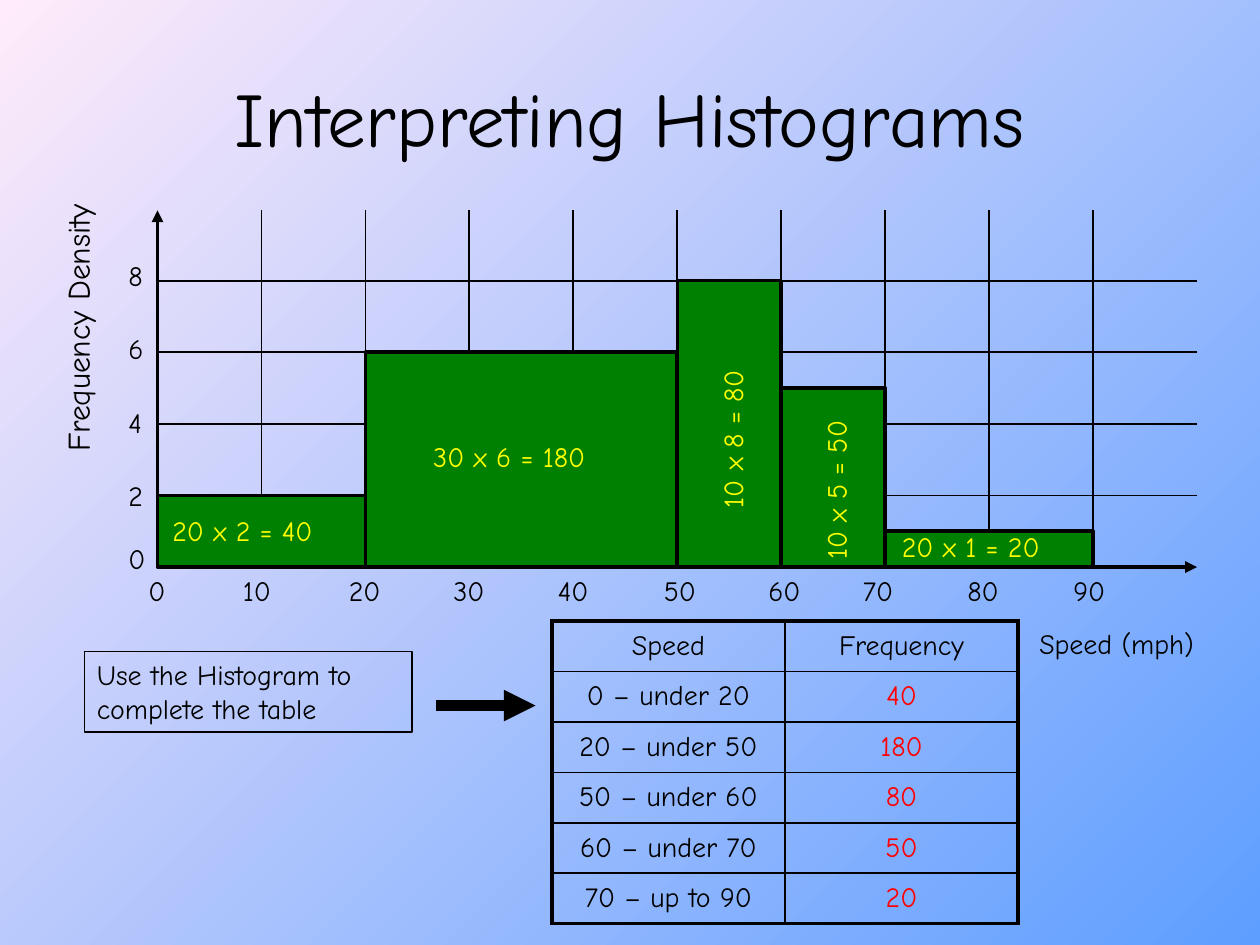
"""Build the slide on reading frequencies from a histogram."""
from dataclasses import dataclass

from lxml import etree
from pptx import Presentation
from pptx import util as u
from pptx.dml.color import RGBColor
from pptx.enum import shapes, text
from pptx.oxml import ns

FONT = "Comic Neue"
HUES = {"ink": "000000", "bar": "008000", "sum": "FFFF00", "answer": "FF0000",
        "pink": "FFEBFA", "blue": "5E9EFF"}
LEFT, BASE, TOP, RIGHT = 1.25, 4.5, 1.67, 9.5
STEP, UNIT = 0.825, 0.284


@dataclass
class Bar:
    start: int
    end: int
    height: int
    left: float
    top: float
    turn: int = 0


BARS = [
    Bar(0, 20, 2, 1.27, 4.03),
    Bar(20, 50, 6, 3.34, 3.44),
    Bar(50, 60, 8, 4.95, 3.08, 270),
    Bar(60, 70, 5, 5.77, 3.49, 270),
    Bar(70, 90, 1, 7.06, 4.15),
]
SPEED_X = [1.08, 1.83, 2.67, 3.5, 4.33, 5.17, 6, 6.75, 7.58, 8.42]
SCALE_Y = [4.25, 3.75, 3.17, 2.58, 2]


def hue(name: str) -> RGBColor:
    return RGBColor.from_string(HUES[name])


def at_x(speed: float) -> float:
    return LEFT + speed / 10 * STEP


def at_y(height: float) -> float:
    return BASE - height * UNIT


def add_run(para, words: str, size: float = 16, tint: str = "ink") -> None:
    run = para.add_run()
    run.text = words
    run.font.name = FONT
    run.font.size = u.Pt(size)
    run.font.color.rgb = hue(tint)


def add_label(slide, words: str, x: float, y: float, w: float, h: float = 0.37,
              size: float = 16, tint: str = "ink", turn: int = 0):
    box = slide.shapes.add_textbox(*map(u.Inches, (x, y, w, h)))
    box.rotation = turn
    box.text_frame.word_wrap = True
    box.text_frame.auto_size = text.MSO_AUTO_SIZE.SHAPE_TO_FIT_TEXT
    add_run(box.text_frame.paragraphs[0], words, size, tint)
    return box


def add_line(slide, x1: float, y1: float, x2: float, y2: float,
             width: float = 1, arrow: bool = False) -> None:
    link = slide.shapes.add_connector(
        shapes.MSO_CONNECTOR.STRAIGHT, *map(u.Inches, (x1, y1, x2, y2)))
    link.line.color.rgb = hue("ink")
    link.line.width = u.Pt(width)
    props = link.element.spPr
    if arrow:
        etree.SubElement(props.find(ns.qn("a:ln")), ns.qn("a:tailEnd"), type="triangle")
    etree.SubElement(props, ns.qn("a:effectLst"))


def add_bar(slide, bar: Bar) -> None:
    box = slide.shapes.add_shape(
        shapes.MSO_SHAPE.RECTANGLE, u.Inches(at_x(bar.start)), u.Inches(at_y(bar.height)),
        u.Inches(at_x(bar.end) - at_x(bar.start)), u.Inches(bar.height * UNIT))
    box.shadow.inherit = False
    box.fill.solid()
    box.fill.fore_color.rgb = hue("bar")
    box.line.color.rgb = hue("ink")
    box.line.width = u.Pt(2)


def set_edge(cell, side: str, width: float, place: int) -> None:
    edge = etree.Element(ns.qn(f"a:ln{side}"), w=str(u.Pt(width)))
    fill = etree.SubElement(edge, ns.qn("a:solidFill"))
    etree.SubElement(fill, ns.qn("a:srgbClr"), val=HUES["ink"])
    cell._tc.get_or_add_tcPr().insert(place, edge)


def add_grid(slide, rows: list[tuple[str, str]]) -> None:
    count = len(rows)
    table = slide.shapes.add_table(
        count, 2, *map(u.Inches, (4.38, 4.93, 3.7, 0.4 * count))).table
    table.first_row = table.horz_banding = False
    for r, row in enumerate(rows):
        table.rows[r].height = u.Inches(0.4)
        for c, words in enumerate(row):
            cell = table.cell(r, c)
            cell.fill.background()
            cell.vertical_anchor = text.MSO_ANCHOR.MIDDLE
            para = cell.text_frame.paragraphs[0]
            para.alignment = text.PP_ALIGN.CENTER
            add_run(para, words, tint="answer" if r and c else "ink")
            outer = {"L": c == 0, "R": c == 1, "T": r == 0, "B": r == count - 1}
            for place, (side, thick) in enumerate(outer.items()):
                set_edge(cell, side, 2.25 if thick else 1, place)


def add_chart_area(slide) -> None:
    for speed in range(10, 100, 10):
        add_line(slide, at_x(speed), TOP, at_x(speed), BASE)
    for height in range(2, 10, 2):
        add_line(slide, LEFT, at_y(height), RIGHT, at_y(height))
    for bar in reversed(BARS):
        add_bar(slide, bar)
    add_line(slide, LEFT, BASE, RIGHT, BASE, 2.25, True)
    add_line(slide, LEFT, BASE, LEFT, TOP, 2.25, True)
    for i, x in enumerate(SPEED_X):
        add_label(slide, str(i * 10), x, BASE, 0.5 if i else 0.33)
    for i, y in enumerate(SCALE_Y):
        add_label(slide, str(i * 2), 0.92, y, 0.33)
    add_label(slide, "Speed (mph)", 8.15, 4.92, 1.67)
    add_label(slide, "Frequency Density", -0.81, 2.06, 2.85, 0.4, 18, turn=270)
    for bar in BARS:
        width = bar.end - bar.start
        words = f"{width} x {bar.height} = {width * bar.height}"
        add_label(slide, words, bar.left, bar.top, 1.73, tint="sum", turn=bar.turn)


def main() -> None:
    deck = Presentation()
    deck.slide_width, deck.slide_height = u.Inches(10), u.Inches(7.5)
    slide = deck.slides.add_slide(deck.slide_layouts[5])

    back = slide.background.fill
    back.gradient()
    back.gradient_angle = 315
    for stop, name in zip(back.gradient_stops, ("pink", "blue")):
        stop.color.rgb = hue(name)

    title = slide.shapes.title
    title.left, title.top, title.width, title.height = map(u.Inches, (0.5, 0.3, 9, 1.25))
    title.text_frame.vertical_anchor = text.MSO_ANCHOR.MIDDLE
    para = title.text_frame.paragraphs[0]
    para.alignment = text.PP_ALIGN.CENTER
    add_run(para, "Interpreting Histograms", 44)

    add_chart_area(slide)

    task = add_label(slide, "Use the Histogram to complete the table", 0.67, 5.17, 2.6, 0.64)
    task.line.color.rgb = hue("ink")
    task.line.width = u.Pt(0.75)
    add_line(slide, 3.46, 5.6, 4.25, 5.6, 6, True)

    rows = [("Speed", "Frequency")]
    for bar in BARS:
        link = "up to" if bar is BARS[-1] else "under"
        total = (bar.end - bar.start) * bar.height
        rows.append((f"{bar.start} – {link} {bar.end}", str(total)))
    add_grid(slide, rows)
    deck.save("out.pptx")


if __name__ == "__main__":
    main()
